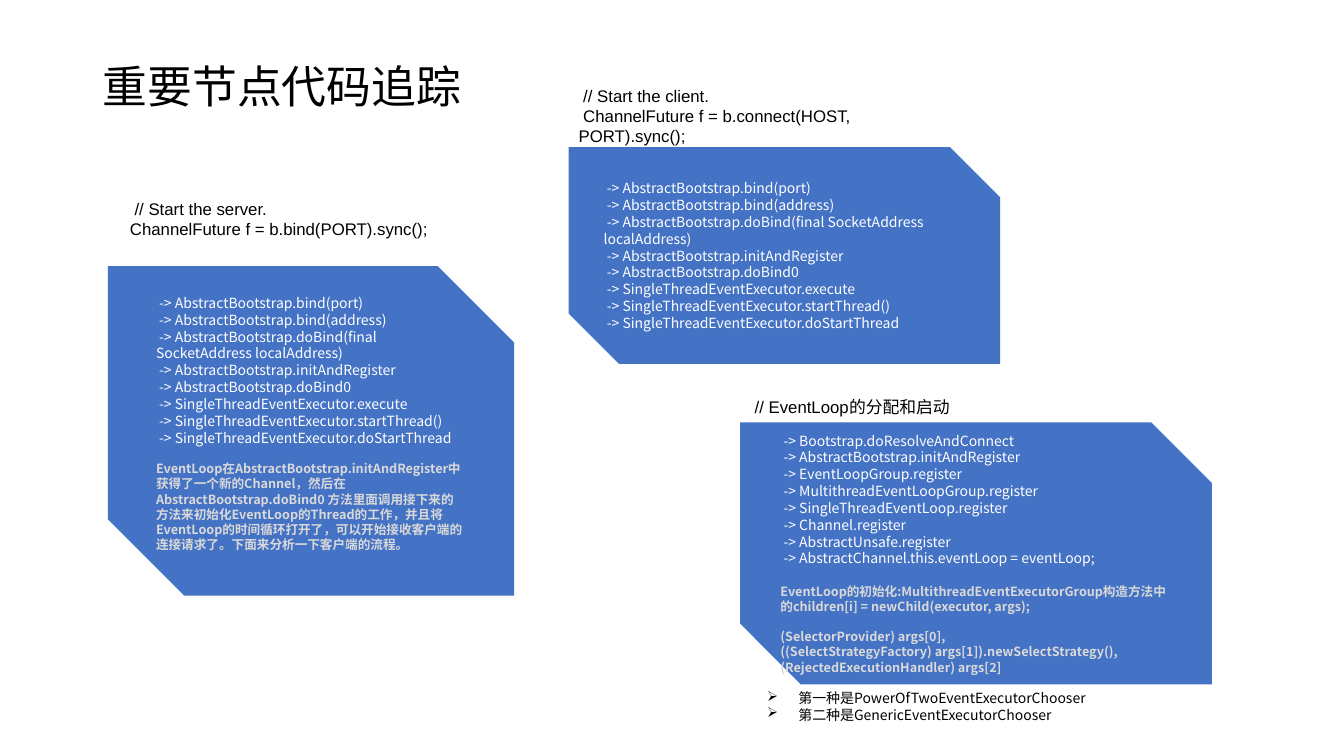
from lxml import etree
from pptx import Presentation
from pptx.dml.color import RGBColor
from pptx.enum.shapes import MSO_SHAPE
from pptx.enum.text import MSO_ANCHOR, MSO_AUTO_SIZE, PP_ALIGN
from pptx.oxml.ns import qn
from pptx.util import Inches, Pt

SNIPPED = MSO_SHAPE.SNIP_2_DIAG_RECTANGLE
MIDDLE = MSO_ANCHOR.MIDDLE
GROW = MSO_AUTO_SIZE.SHAPE_TO_FIT_TEXT
LEFT = PP_ALIGN.LEFT

BLUE = RGBColor(0x44, 0x72, 0xC4)
WHITE = RGBColor(0xFF, 0xFF, 0xFF)
GREY = RGBColor(0xD9, 0xD9, 0xD9)
BLACK = RGBColor(0x00, 0x00, 0x00)

CJK_FONT = "Noto Sans CJK SC"
LATIN_FONT = "Arial"

BIND_TAIL = [
    "AbstractBootstrap.initAndRegister",
    "AbstractBootstrap.doBind0",
    "SingleThreadEventExecutor.execute",
    "SingleThreadEventExecutor.startThread()",
    "SingleThreadEventExecutor.doStartThread",
]
BIND_HEAD = ["AbstractBootstrap.bind(port)", "AbstractBootstrap.bind(address)"]
DO_BIND = "AbstractBootstrap.doBind(final "
SERVER_CALLS = BIND_HEAD + [DO_BIND + "\tSocketAddress localAddress)"] + BIND_TAIL
CLIENT_CALLS = BIND_HEAD + [DO_BIND + "SocketAddress \t\tlocalAddress)"] + BIND_TAIL
REGISTER_CALLS = [
    "Bootstrap.doResolveAndConnect",
    "AbstractBootstrap.initAndRegister",
    "EventLoopGroup.register",
    "MultithreadEventLoopGroup.register",
    "SingleThreadEventLoop.register",
    "Channel.register",
    "AbstractUnsafe.register",
    "AbstractChannel.this.eventLoop = eventLoop;",
]

# Each note is its text and the space before it in points
SERVER_NOTES = [
    ("EventLoop在AbstractBootstrap.initAndRegister中获得了一个新的Channel，"
     "然后在AbstractBootstrap.doBind0 方法里面调用接下来的方法来初始化"
     "EventLoop的Thread的工作，并且将EventLoop的时间循环打开了，"
     "可以开始接收客户端的连接请求了。下面来分析一下客户端的流程。", 11),
]
REGISTER_NOTES = [
    ("EventLoop的初始化:MultithreadEventExecutorGroup构造方法中的"
     "children[i] = newChild(executor, args);", 12),
    ("(SelectorProvider) args[0],", 11),
    ("((SelectStrategyFactory) args[1]).newSelectStrategy(), "
     "(RejectedExecutionHandler) args[2]", 0),
]


def write_paragraph(text_frame, index, text, size, font_name, color, bold=False):
    """Fill the paragraph at index, adding it when it is not the first."""
    paragraph = text_frame.add_paragraph() if index else text_frame.paragraphs[0]
    paragraph.text = text
    paragraph.alignment = LEFT
    for run in paragraph.runs:
        run.font.size = Pt(size)
        run.font.name = font_name
        run.font.bold = bold
        run.font.color.rgb = color
        east_asian = etree.SubElement(run.font._element, qn("a:ea"))
        east_asian.set("typeface", CJK_FONT)
    return paragraph


def add_text(slide, left, top, width, height, lines, size, font_name):
    box = slide.shapes.add_textbox(Inches(left), Inches(top), Inches(width), Inches(height))
    text_frame = box.text_frame
    text_frame.word_wrap = True
    text_frame.auto_size = GROW
    for index, line in enumerate(lines):
        write_paragraph(text_frame, index, line, size, font_name, BLACK)
    return text_frame


def add_title(slide, text):
    text_frame = add_text(slide, 0.92, 0.4, 11.5, 0.97, [text], 32, CJK_FONT)
    text_frame.auto_size = MSO_AUTO_SIZE.NONE
    text_frame.vertical_anchor = MIDDLE
    text_frame.paragraphs[0].line_spacing = 0.9


def add_call_panel(slide, left, top, width, height, calls, notes=(), bottom=0.05):
    """Draw a snipped panel with a call chain and bold notes below it."""
    panel = slide.shapes.add_shape(
        SNIPPED, Inches(left), Inches(top), Inches(width), Inches(height))
    panel.adjustments[0] = 0
    panel.adjustments[1] = 0.232
    panel.shadow.inherit = False
    panel.fill.solid()
    panel.fill.fore_color.rgb = BLUE
    panel.line.fill.background()

    text_frame = panel.text_frame
    text_frame.word_wrap = True
    text_frame.vertical_anchor = MIDDLE
    text_frame.margin_bottom = Inches(bottom)
    for index, call in enumerate(calls):
        write_paragraph(text_frame, index, " -> " + call, 10, CJK_FONT, WHITE)
    for index, (note, space) in enumerate(notes, start=len(calls)):
        paragraph = write_paragraph(text_frame, index, note, 9, CJK_FONT, GREY, bold=True)
        paragraph.space_before = Pt(space)


def add_bullets(slide, left, top, width, height, lines):
    text_frame = add_text(slide, left, top, width, height, lines, 10, CJK_FONT)
    for paragraph in text_frame.paragraphs:
        properties = paragraph._p.get_or_add_pPr()
        properties.set("marL", str(Inches(0.31)))
        properties.set("indent", str(Inches(-0.31)))
        etree.SubElement(properties, qn("a:buChar")).set("char", "➢")


def main():
    presentation = Presentation()
    presentation.slide_width = Inches(13.33)
    presentation.slide_height = Inches(7.5)
    slide = presentation.slides.add_slide(presentation.slide_layouts[6])

    add_title(slide, "重要节点代码追踪")

    # Server start
    add_call_panel(slide, 1.07, 2.64, 4.03, 3.27, SERVER_CALLS, SERVER_NOTES, bottom=0.2)
    add_text(slide, 1.19, 1.92, 3.99, 0.5,
             [" // Start the server.", "ChannelFuture f = b.bind(PORT).sync();"],
             12, LATIN_FONT)

    # Client start
    add_call_panel(slide, 5.64, 1.46, 4.28, 2.15, CLIENT_CALLS)
    add_text(slide, 5.64, 0.8, 3.99, 0.5,
             [" // Start the client.", " ChannelFuture f = b.connect(HOST, PORT).sync();"],
             12, LATIN_FONT)

    # EventLoop assignment
    add_call_panel(slide, 7.34, 4.19, 4.68, 2.6, REGISTER_CALLS, REGISTER_NOTES)
    add_text(slide, 7.34, 3.89, 3.99, 0.3, [" // EventLoop的分配和启动"], 12, LATIN_FONT)
    add_bullets(slide, 7.51, 6.79, 4.8, 0.44,
                ["第一种是PowerOfTwoEventExecutorChooser",
                 "第二种是GenericEventExecutorChooser"])

    presentation.save("out.pptx")


if __name__ == "__main__":
    main()
